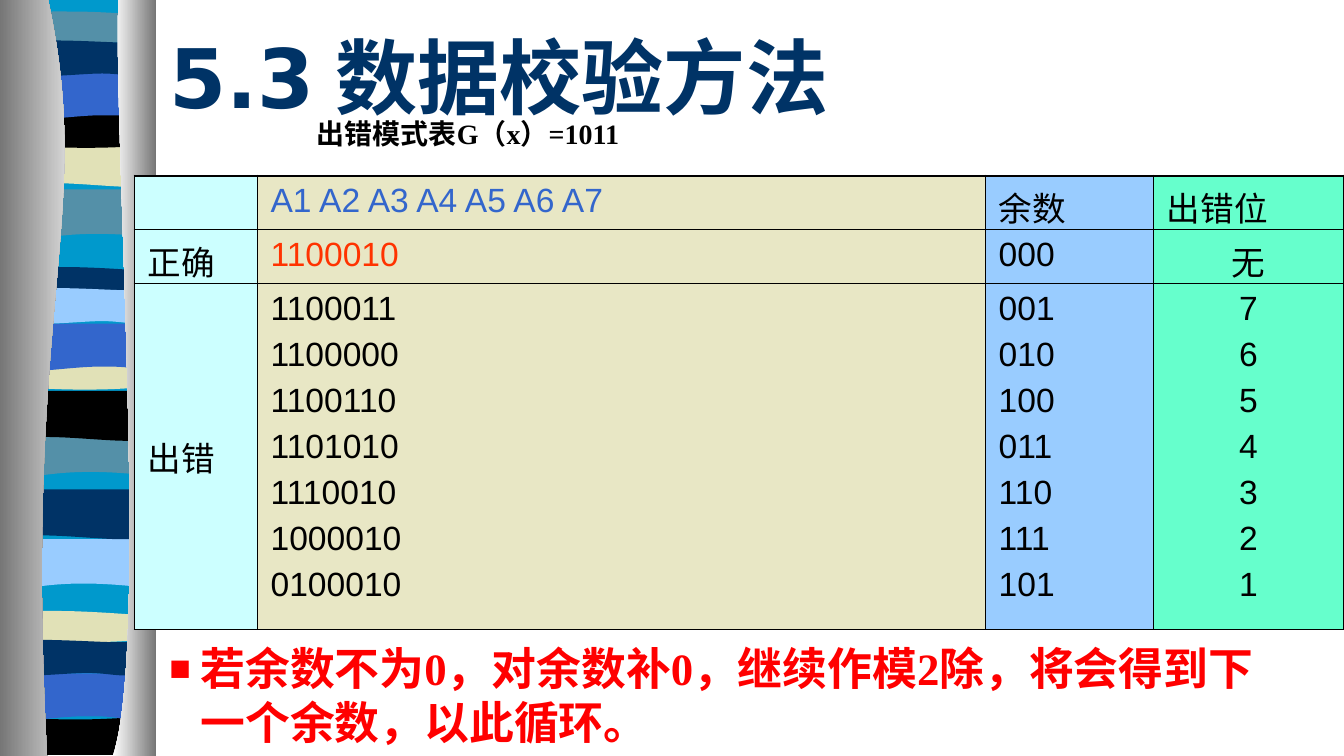
"""Build the slide on CRC error patterns for G(x)=1011."""
import pptx
import pptx.dml.color
import pptx.enum.text
import pptx.oxml
import pptx.oxml.ns
import pptx.util

Cm, Pt = pptx.util.Cm, pptx.util.Pt
ALIGN, ANCHOR = pptx.enum.text.PP_ALIGN, pptx.enum.text.MSO_ANCHOR
namespace = pptx.oxml.ns.nsdecls("a")


def color(code):
    return pptx.dml.color.RGBColor.from_string(code)


def draw_outline(left, top, start, segments):
    points = [start] + [segment[i:i + 2] for segment in segments for i in range(0, len(segment), 2)]
    points = [(Cm(left + x), Cm(top + y)) for x, y in points]
    builder = slide.shapes.build_freeform(*points[0])
    builder.add_line_segments(points[1:], close=True)
    shape = builder.convert_to_shape()
    lines = iter(shape._element.xpath(".//a:lnTo"))
    for segment in segments:
        line = next(lines)
        if len(segment) == 6:
            curve = pptx.oxml.parse_xml(f"<a:cubicBezTo {namespace}/>")
            line.addprevious(curve)
            for vertex in (line, next(lines), next(lines)):
                curve.append(vertex[0])
                vertex.getparent().remove(vertex)
    shape.shadow.inherit = False
    shape.line.fill.background()
    return shape


prs = pptx.Presentation()
prs.slide_width, prs.slide_height = Cm(25.4), Cm(14.29)
slide = prs.slides.add_slide(prs.slide_layouts[6])

backdrop = draw_outline(0.41, 0, (2.44, 0), [(2.44, 14.18), (0, 14.18), (0, 0)])
backdrop.fill.solid()
backdrop.fill.fore_color.rgb = color("0099CC")

band_outlines = {
    "wave": [(2.44, 0.9), (0.74, 0.72, 0.41, 1.02, 0, 0.9), (0, 0)],
    "swell": [(2.44, 0.9), (2.04, 1.04, 0.76, 0.79, 0, 0.9), (0, 0)],
    "lens": [(2.44, 0.46), (2.03, 0.53, 0.41, 0.53, 0, 0.46), (0, 0),
             (0.17, -0.1, 0.53, -0.08, 0.94, -0.08), (1.35, -0.08, 2.13, -0.03, 2.44, 0)],
    "bowl": [(2.44, 0.61), (2.03, 0.71, 0.41, 0.71, 0, 0.61), (0, 0), (1.5, 0.09, 1.93, 0, 2.44, 0)],
    "foot": [(2.44, 0.71), (0.02, 0.71), (0, 0), (1.5, 0.09, 1.93, 0, 2.44, 0)],
    "arch": [(2.44, 0.91), (2.06, 0.81, 1.9, 0.81, 1.5, 0.81), (1.09, 0.81, 0.38, 0.91, 0, 0.91), (0, 0)],
    "ribbon": [(2.44, 0.58), (2.26, 0.69, 1.91, 0.58, 1.5, 0.58), (1.09, 0.58, 0.25, 0.69, 0, 0.58),
               (0, 0), (0.33, -0.1, 1.65, 0, 2.06, 0), (2.46, 0, 2.34, 0, 2.44, 0)],
}
bands = [
    ("wave", 0.41, 3.58, "5490A8"), ("swell", 0.48, 2.59, "E1E1B7"), ("lens", 0.48, 0.3, "5490A8"),
    ("bowl", 0.41, 2.11, "000000"), ("arch", 0.41, 1.37, "3366CC"), ("ribbon", 0.43, 0.81, "003366"),
    ("wave", 0.28, 8.08, "5490A8"), ("swell", 0.38, 7.39, "000000"), ("lens", 0.38, 5.13, "003366"),
    ("bowl", 0.38, 6.68, "E1E1B7"), ("arch", 0.38, 6.12, "3366CC"), ("ribbon", 0.43, 5.49, "99CCFF"),
    ("wave", 0.15, 10.19, "99CCFF"), ("swell", 0.28, 9.25, "003366"), ("lens", 0.2, 11.63, "E1E1B7"),
    ("foot", 0.25, 13.56, "000000"), ("arch", 0.1, 12.73, "3366CC"), ("ribbon", 0.15, 12.14, "003366"),
]
for kind, left, top, fill in bands:
    band = draw_outline(left, top, (2.44, 0), band_outlines[kind])
    band.fill.solid()
    band.fill.fore_color.rgb = color(fill)

columns = [
    ((0.91, 0), [(1.8, 4.11, 0.43, 5.64, 0.89, 14.29), (0, 14.29), (0, 0)], ("767676", "FFFFFF")),
    ((2.24, 0), [(2.13, 2.36, 2.84, 12.32, 2.13, 14.29), (2.95, 14.29), (2.95, 0)], ("FFFFFF", "767676")),
]
for start, segments, shades in columns:
    column = draw_outline(0, 0, start, segments)
    column.fill.gradient()
    column.fill.gradient_angle = 0
    for stop, shade in zip(column.fill.gradient_stops, shades):
        stop.color.rgb = color(shade)

texts = [
    (2.95, 0.23, 22.15, 2.39, [("5.3", "DejaVu Sans"), (" 数据校验方法", "Times New Roman")], 44, "003366", 0, 0),
    (3.43, 2.21, 21.59, 0.94, [("出错模式表G（x）=1011", "Times New Roman")], 15, "000000", 2.31, 0),
    (2.95, 11.99, 21.49, 2.29,
     [("若余数不为0，对余数补0，继续作模2除，将会得到下一个余数，以此循环。", "Times New Roman")],
     24, "FF0000", 0.59, -0.59),
]
paragraphs = []
for left, top, width, height, runs, size, ink, margin, indent in texts:
    frame = slide.shapes.add_textbox(Cm(left), Cm(top), Cm(width), Cm(height)).text_frame
    frame.word_wrap = True
    paragraph = frame.paragraphs[0]
    properties = paragraph._p.get_or_add_pPr()
    properties.set("marL", str(Cm(margin)))
    properties.set("indent", str(Cm(indent)))
    if indent:
        for bullet in ('<a:buClr {}><a:srgbClr val="FF0000"/></a:buClr>', '<a:buSzPct {} val="80000"/>',
                       '<a:buFont {} typeface="Arial"/>', '<a:buChar {} char="■"/>'):
            properties.append(pptx.oxml.parse_xml(bullet.format(namespace)))
    for words, face in runs:
        run = paragraph.add_run()
        run.text = words
        run.font.name = face
    for font in [paragraph.font] + [run.font for run in paragraph.runs]:
        font.size = Pt(size)
        font.bold = True
        font.color.rgb = color(ink)
    paragraphs.append(paragraph)
title, caption, remark = paragraphs
title._parent.vertical_anchor = ANCHOR.MIDDLE
caption.line_spacing = 0.8

rows = [
    ["", "A1 A2 A3 A4 A5 A6 A7", "余数", "出错位"],
    ["正确", "1100010", "000", "无"],
    ["出错", "1100011\n1100000\n1100110\n1101010\n1110010\n1000010\n0100010",
     "001\n010\n100\n011\n110\n111\n101", "7\n6\n5\n4\n3\n2\n1"],
]
row_heights = [0.97, 0.97, 6.47]
column_widths = [2.32, 13.76, 3.18, 3.59]
column_fills = ["CCFFFF", "E8E7C5", "99CCFF", "66FFCC"]
special_inks = {(0, 1): "3366CC", (1, 1): "FF3300"}

patterns = slide.shapes.add_table(3, 4, Cm(2.54), Cm(3.32), Cm(sum(column_widths)), Cm(sum(row_heights))).table
patterns.first_row = patterns.horz_banding = False
for column, width in zip(patterns.columns, column_widths):
    column.width = Cm(width)
for r, (row, height) in enumerate(zip(rows, row_heights)):
    patterns.rows[r].height = Cm(height)
    for c, words in enumerate(row):
        cell = patterns.cell(r, c)
        cell.text = words
        outer = {"L": c == 0, "R": c == 3, "T": r == 0, "B": r == 2}
        for side, is_outer in outer.items():
            cell._tc.get_or_add_tcPr().append(pptx.oxml.parse_xml(
                f'<a:ln{side} {namespace} w="{Pt(1.08 if is_outer else 0.45)}"><a:solidFill>'
                f'<a:srgbClr val="000000"/></a:solidFill></a:ln{side}>'))
        cell.fill.solid()
        cell.fill.fore_color.rgb = color(column_fills[c])
        cell.vertical_anchor = ANCHOR.MIDDLE if (r, c) == (2, 0) else ANCHOR.TOP
        for index, paragraph in enumerate(cell.text_frame.paragraphs):
            if index:
                paragraph.space_before = Pt(4.5)
            if c == 3 and r:
                paragraph.alignment = ALIGN.CENTER
            paragraph.font.name = "Arial"
            paragraph.font.size = Pt(18)
            paragraph.font.color.rgb = color(special_inks.get((r, c), "000000"))

prs.save("out.pptx")
